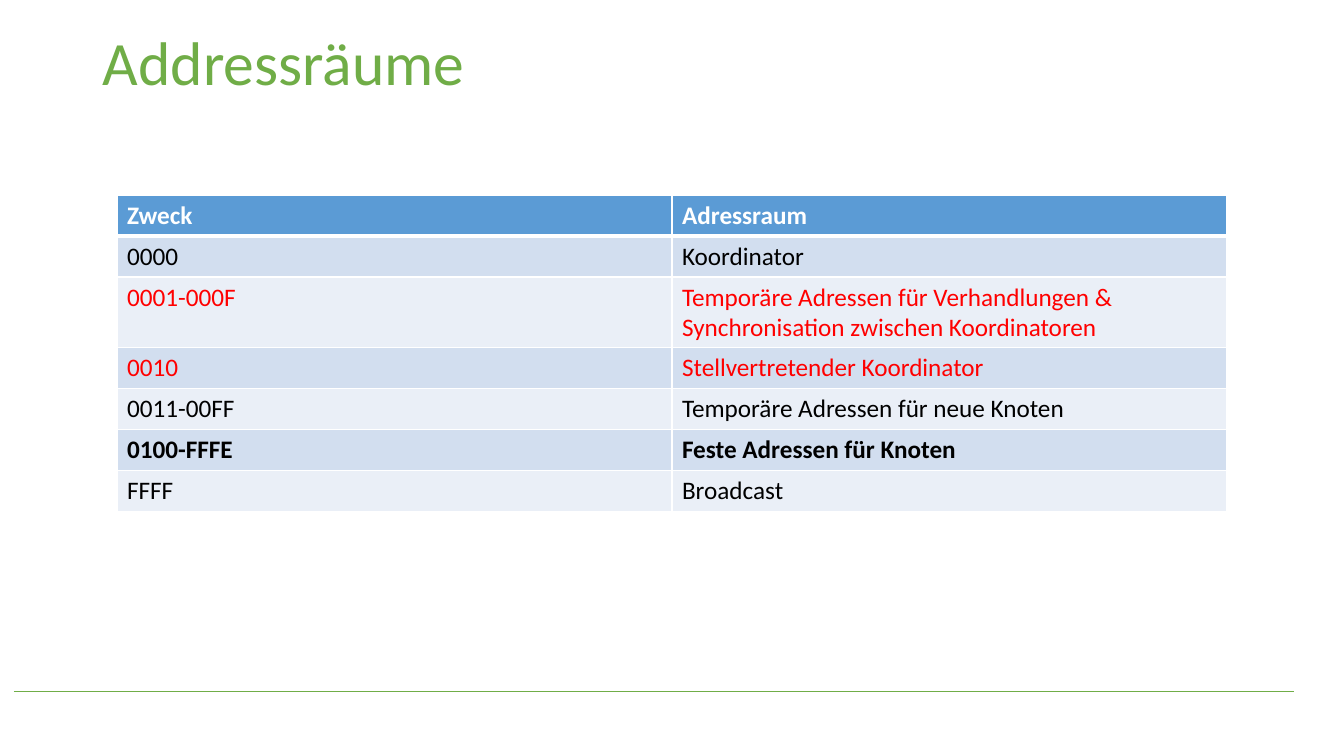
from lxml.etree import SubElement
from pptx import Presentation
from pptx.dml.color import RGBColor
from pptx.enum.shapes import MSO_CONNECTOR
from pptx.enum.text import MSO_ANCHOR
from pptx.oxml.ns import qn
from pptx.util import Pt

PX = 914400 / 100.8
GREEN = RGBColor(0x70, 0xAD, 0x47)
BLUE = RGBColor(0x5B, 0x9B, 0xD5)
BAND_DARK = RGBColor(0xD2, 0xDE, 0xEF)
BAND_LIGHT = RGBColor(0xEA, 0xEF, 0xF7)
WHITE = RGBColor(0xFF, 0xFF, 0xFF)
BLACK = RGBColor(0x00, 0x00, 0x00)
RED = RGBColor(0xFF, 0x00, 0x00)

# Purpose, address range, text colour, bold
ADDRESS_ROWS = [
    ("Zweck", "Adressraum", WHITE, True),
    ("0000", "Koordinator", BLACK, False),
    ("0001-000F", "Temporäre Adressen für Verhandlungen & "
     "Synchronisation zwischen Koordinatoren", RED, False),
    ("0010", "Stellvertretender Koordinator", RED, False),
    ("0011-00FF", "Temporäre Adressen für neue Knoten", BLACK, False),
    ("0100-FFFE", "Feste Adressen für Knoten", BLACK, True),
    ("FFFF", "Broadcast", BLACK, False),
]


def px(*lengths):
    """Turn pixel lengths into EMU."""
    return [round(length * PX) for length in lengths]


def add_white_borders(cell, top, bottom):
    """Draw all four cell borders; top and bottom are widths in points."""
    properties = cell._tc.get_or_add_tcPr()
    for side, width in (("L", 1), ("R", 1), ("T", top), ("B", bottom)):
        border = SubElement(properties, qn(f"a:ln{side}"), w=str(Pt(width)))
        border_fill = SubElement(border, qn("a:solidFill"))
        SubElement(border_fill, qn("a:srgbClr"), val=str(WHITE))


prs = Presentation()
prs.slide_width, prs.slide_height = px(1344, 756)
slide = prs.slides.add_slide(prs.slide_layouts[6])

footer_rule = slide.shapes.add_connector(
    MSO_CONNECTOR.STRAIGHT, *px(14, 691, 1294, 691))
footer_rule.line.color.rgb = GREEN
footer_rule.line.width = Pt(0.5)
SubElement(footer_rule._element.spPr, qn("a:effectLst"))

title = slide.shapes.add_textbox(*px(93, 27, 1159, 146)).text_frame
title.word_wrap = True
title.vertical_anchor = MSO_ANCHOR.TOP
heading = title.paragraphs[0]
heading.text = "Addressräume"
heading.line_spacing = 0.9
heading.font.name = "Calibri"
heading.font.size = Pt(44)
heading.font.color.rgb = GREEN

address_table = slide.shapes.add_table(
    len(ADDRESS_ROWS), 2, *px(117, 195, 1110, 287)).table
for row, (purpose, address_range, color, bold) in enumerate(ADDRESS_ROWS):
    address_table.rows[row].height = px(41)[0]
    if row == 0:
        background = BLUE
    else:
        background = BAND_DARK if row % 2 else BAND_LIGHT
    for column, text in enumerate((purpose, address_range)):
        cell = address_table.cell(row, column)
        add_white_borders(cell, 3 if row == 1 else 1, 3 if row == 0 else 1)
        cell.fill.solid()
        cell.fill.fore_color.rgb = background
        entry = cell.text_frame.paragraphs[0]
        entry.text = text
        entry.font.name = "Calibri"
        entry.font.size = Pt(18)
        entry.font.bold = bold
        entry.font.color.rgb = color

prs.save("out.pptx")
